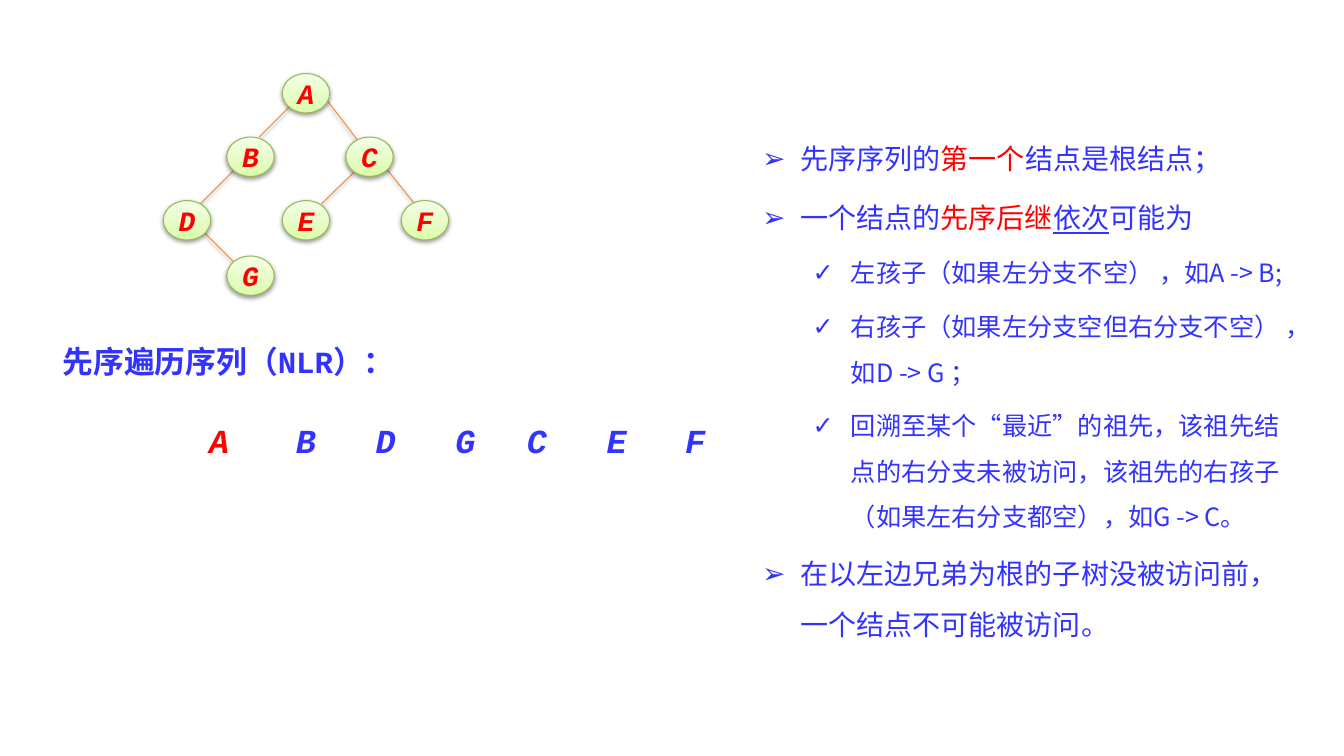
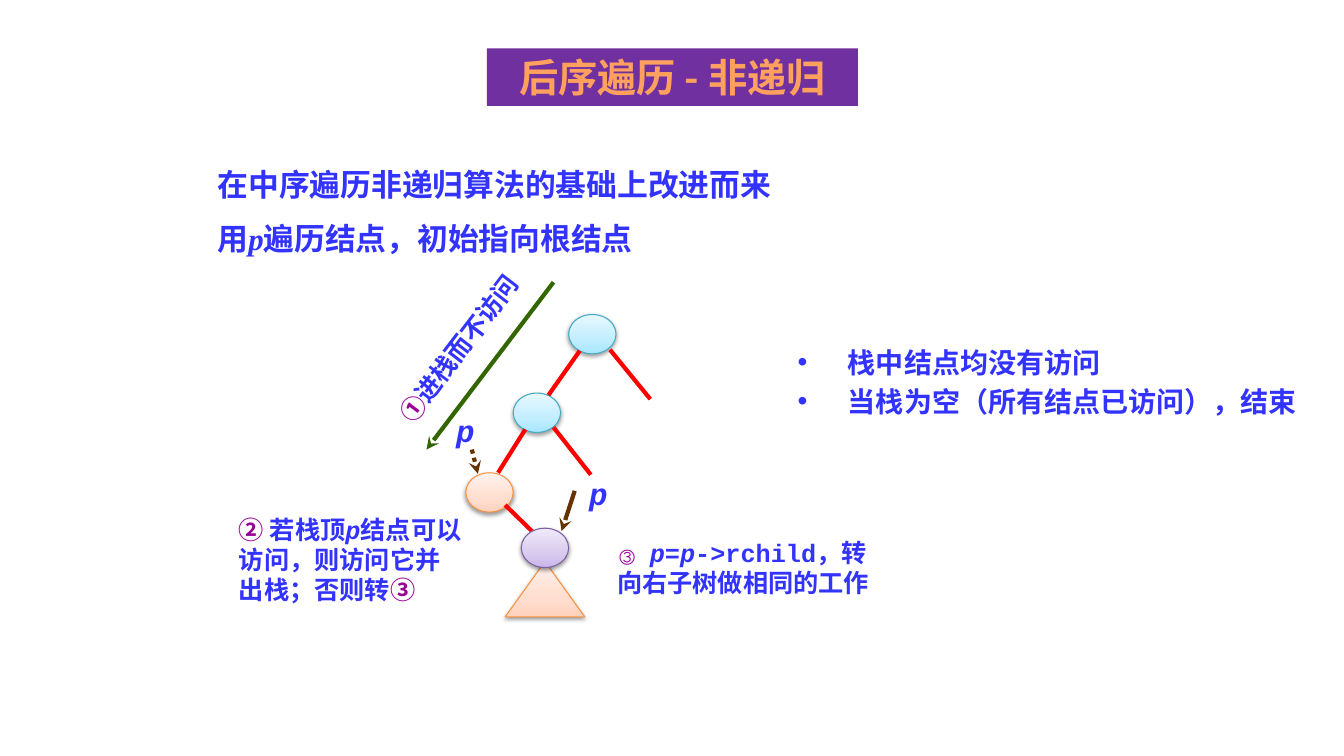
from pptx import Presentation
from pptx import util as u
from pptx.dml.color import RGBColor
from pptx.enum import dml, shapes, text
from pptx.oxml import parse_xml
from pptx.oxml.ns import nsdecls, qn

PX = 9144  # EMU, a hundred px to the inch
WIDTH, HEIGHT = 1333, 750

BLUE = RGBColor(0x33, 0x33, 0xFF)
RED = RGBColor(0xFF, 0x00, 0x00)
PURPLE = RGBColor(0x99, 0x00, 0x99)
BANNER = RGBColor(0x70, 0x30, 0xA0)
BANNER_TEXT = RGBColor(0xFF, 0xA0, 0x5F)
EDGE = RGBColor(0xF6, 0x92, 0x40)
GREEN = RGBColor(0x33, 0x66, 0x00)
BROWN = RGBColor(0x66, 0x33, 0x00)

# Node styles: outline, then the gradient from bottom to top
LIME_NODE = (RGBColor(0x98, 0xB9, 0x55), ("DAFDA7", "E4FCC2", "F5FFE7"))
SKY_NODE = (RGBColor(0x46, 0xAA, 0xC5), ("A7E6FF", "C1EDFF", "E7F8FF"))
PEACH_NODE = (EDGE, ("FFD2BD", "FFDED0", "FFF2ED"))
LILAC_NODE = (RGBColor(0x7D, 0x60, 0xA0), ("C9B5E8", "D8CBEE", "F0EAF9"))

SANS, MONO, SERIF = "Noto Sans CJK SC", "Courier New", "Times New Roman"
LEFT, CENTER = text.PP_ALIGN.LEFT, text.PP_ALIGN.CENTER
NODE_SIZE = (47, 39)
OVAL, TRIANGLE = shapes.MSO_SHAPE.OVAL, shapes.MSO_SHAPE.ISOSCELES_TRIANGLE


class Deck:
    def __init__(self):
        self.prs = Presentation()
        self.prs.slide_width, self.prs.slide_height = WIDTH * PX, HEIGHT * PX
        self.slide = None

    def new_slide(self):
        self.slide = self.prs.slides.add_slide(self.prs.slide_layouts[1])

    @staticmethod
    def effects(element, shadow):
        """Give the element a soft shadow below, or no effect at all."""
        shade = ('<a:outerShdw blurRad="39370" dist="20320" dir="5400000" rotWithShape="0">'
                 '<a:srgbClr val="000000"><a:alpha val="38000"/></a:srgbClr></a:outerShdw>')
        element.spPr.append(parse_xml(
            f'<a:effectLst {nsdecls("a")}>{shade if shadow else ""}</a:effectLst>'))

    @staticmethod
    def add_spans(paragraph, spans, size, font, color=BLUE, bold=True, italic=False):
        """Add spans, each a string or a (string, font settings) pair."""
        for span in spans:
            words, changes = (span, {}) if isinstance(span, str) else span
            run = paragraph.add_run()
            run.text = words
            run.font.size = u.Pt(size)
            run.font.name = font
            run.font.bold = bold
            run.font.italic = changes.get("italic", italic)
            run.font.underline = changes.get("underline")
            run.font.color.rgb = changes.get("color", color)
            latin = run.font._element.find(qn("a:latin"))
            latin.addnext(parse_xml(f'<a:ea {nsdecls("a")} typeface="{SANS}"/>'))

    @staticmethod
    def place(shape, box, inset=(10, 5)):
        shape.left, shape.top, shape.width, shape.height = (v * PX for v in box)
        frame = shape.text_frame
        frame.word_wrap = True
        frame.auto_size = text.MSO_AUTO_SIZE.NONE
        frame.vertical_anchor = text.MSO_ANCHOR.TOP
        frame.margin_left = frame.margin_right = inset[0] * PX
        frame.margin_top = frame.margin_bottom = inset[1] * PX
        return frame

    def title(self, box, words, size, font, color=BLUE, align=LEFT, fill=None):
        shape = self.slide.shapes.title
        paragraph = self.place(shape, box).paragraphs[0]
        paragraph.alignment = align
        self.add_spans(paragraph, [words], size, font, color)
        if fill is not None:
            shape.fill.solid()
            shape.fill.fore_color.rgb = fill

    def bullets(self, box, items, font, indent, line_spacing, before=0, bold=False):
        """Fill the body with (level, bullet, size, spans) items."""
        frame = self.place(self.slide.placeholders[1], box)
        for i, (level, bullet, size, spans) in enumerate(items):
            paragraph = frame.add_paragraph() if i else frame.paragraphs[0]
            paragraph.level = level
            paragraph.alignment = LEFT
            paragraph.line_spacing = line_spacing
            paragraph.space_before = u.Pt(before)
            props = paragraph._p.get_or_add_pPr()
            props.set("marL", str((indent + 50 * level) * PX))
            props.set("indent", str(-indent * PX))
            props.append(parse_xml(f'<a:buChar {nsdecls("a")} char="{bullet}"/>'))
            self.add_spans(paragraph, spans, size, font, bold=bold)

    def label(self, box, spans, size, font, align=CENTER, inset=(0, 0), rotation=0, **style):
        shape = self.slide.shapes.add_textbox(0, 0, 0, 0)
        paragraph = self.place(shape, box, inset).paragraphs[0]
        shape.rotation = rotation
        paragraph.alignment = align
        self.add_spans(paragraph, spans, size, font, **style)

    def node(self, corner, look, letter="", size=NODE_SIZE, kind=OVAL):
        outline, stops = look
        shape = self.slide.shapes.add_shape(kind, *(v * PX for v in (*corner, *size)))
        shape.fill.background()
        colors = "".join(f'<a:gs pos="{pos}"><a:srgbClr val="{stop}"/></a:gs>'
                         for pos, stop in zip((0, 35000, 100000), stops))
        empty = shape._element.spPr.find(qn("a:noFill"))
        empty.getparent().replace(empty, parse_xml(
            f'<a:gradFill {nsdecls("a")} rotWithShape="1"><a:gsLst>{colors}</a:gsLst>'
            '<a:lin ang="16200000" scaled="0"/></a:gradFill>'))
        shape.line.color.rgb = outline
        shape.line.width = u.Pt(0.75)
        self.effects(shape._element, shadow=True)
        if letter:
            frame = shape.text_frame
            frame.word_wrap = False
            frame.vertical_anchor = text.MSO_ANCHOR.MIDDLE
            frame.paragraphs[0].alignment = CENTER
            self.add_spans(frame.paragraphs[0], [letter], 20, MONO, RED, italic=True)

    def line(self, ends, color, width=3, arrow=False, dash=None, shadow=False):
        link = self.slide.shapes.add_connector(
            shapes.MSO_CONNECTOR.STRAIGHT, *(v * PX for v in ends))
        link.line.color.rgb = color
        link.line.width = u.Pt(width)
        if dash is not None:
            link.line.dash_style = dash
        if arrow:
            link.line._get_or_add_ln().append(
                parse_xml(f'<a:tailEnd {nsdecls("a")} type="stealth"/>'))
        self.effects(link._element, shadow)


def preorder_slide(deck):
    deck.new_slide()
    deck.title((52, 335, 347, 47), "先序遍历序列（NLR）：", 22, MONO)

    for edge in ((202, 230, 234, 262), (289, 104, 257, 136), (324, 99, 357, 142),
                 (234, 167, 194, 207), (351, 171, 319, 202), (383, 167, 415, 207)):
        deck.line(edge, EDGE, width=0.75, shadow=True)

    # Letter: node corner, left of the letter in the visiting sequence
    visits = {"A": ((280, 73), 178), "B": ((225, 136), 264), "D": ((162, 199), 343),
              "G": ((225, 254), 422), "C": ((343, 136), 493), "E": ((280, 199), 572),
              "F": ((398, 199), 650)}
    for letter, (corner, left) in visits.items():
        deck.node(corner, LIME_NODE, letter)
        deck.label((left, 412, 79, 50), [letter], 24, MONO, inset=(10, 5),
                   color=RED if letter == "A" else BLUE, italic=True)

    red = {"color": RED}
    rules = [
        (0, "➢", 20, ["先序序列的", ("第一个", red), "结点是根结点；"]),
        (0, "➢", 20, ["一个结点的", ("先序后继", red), ("依次", {"underline": True}), "可能为"]),
        (1, "✓", 18, ["左孩子（如果左分支不空） ，如A -> B;"]),
        (1, "✓", 18, ["右孩子（如果左分支空但右分支不空） ，如D -> G ；"]),
        (1, "✓", 18, ["回溯至某个“最近”的祖先，该祖先结点的右分支未被访问，"
                      "该祖先的右孩子（如果左右分支都空），如G -> C。"]),
        (0, "➢", 20, ["在以左边兄弟为根的子树没被访问前，一个结点不可能被访问。"]),
    ]
    deck.bullets((746, 119, 555, 521), rules, SANS, indent=38, line_spacing=1.5, before=6)


def postorder_slide(deck):
    deck.new_slide()
    deck.title((483, 48, 368, 57), "后序遍历 - 非递归", 28, SANS, BANNER_TEXT, CENTER, BANNER)
    italic, step = {"italic": True}, {"color": PURPLE}

    deck.label((206, 159, 575, 47), ["在中序遍历非递归算法的基础上改进而来"], 22, SANS, LEFT, (10, 5))
    deck.label((206, 213, 500, 47), ["用", ("p", italic), "遍历结点，初始指向根结点"],
               22, SERIF, LEFT, (10, 5))

    for corner, look in (((564, 312), SKY_NODE), ((509, 390), SKY_NODE), ((462, 469), PEACH_NODE)):
        deck.node(corner, look)
    for branch in ((575, 348, 544, 392), (521, 426, 494, 469), (605, 347, 645, 396),
                   (501, 501, 541, 540), (549, 424, 586, 471)):
        deck.line(branch, RED)
    deck.node((501, 557), PEACH_NODE, size=(79, 55), kind=TRIANGLE)
    deck.node((517, 524), LILAC_NODE)

    deck.line((549, 280, 423, 446), GREEN, arrow=True)
    deck.line((468, 446, 474, 470), BROWN, arrow=True, dash=dml.MSO_LINE.ROUND_DOT)
    deck.line((570, 487, 557, 527), BROWN, arrow=True)
    for left, top in ((446, 408), (578, 471)):
        deck.label((left, top, 31, 37), ["p"], 22, MONO, italic=True)

    deck.label((313, 326, 284, 40), [("①", step), "进栈而不访问"], 18, SERIF,
               inset=(10, 5), rotation=307.4)
    deck.label((237, 510, 223, 91),
               [("② ", step), "若栈顶", ("p", italic), "结点可以访问，则访问它并出栈；否则转", ("③", step)],
               18, MONO, LEFT)
    deck.label((604, 533, 266, 61),
               [("③ ", step), ("p", italic), "=", ("p", italic), "->rchild，转向右子树做相同的工作"],
               18, MONO)

    facts = ["栈中结点均没有访问", "当栈为空（所有结点已访问），结束"]
    deck.bullets((781, 332, 516, 85), [(0, "•", 20, [fact]) for fact in facts],
                 SERIF, indent=50, line_spacing=u.Pt(28), bold=True)


def main():
    deck = Deck()
    preorder_slide(deck)
    postorder_slide(deck)
    deck.prs.save("out.pptx")


if __name__ == "__main__":
    main()
